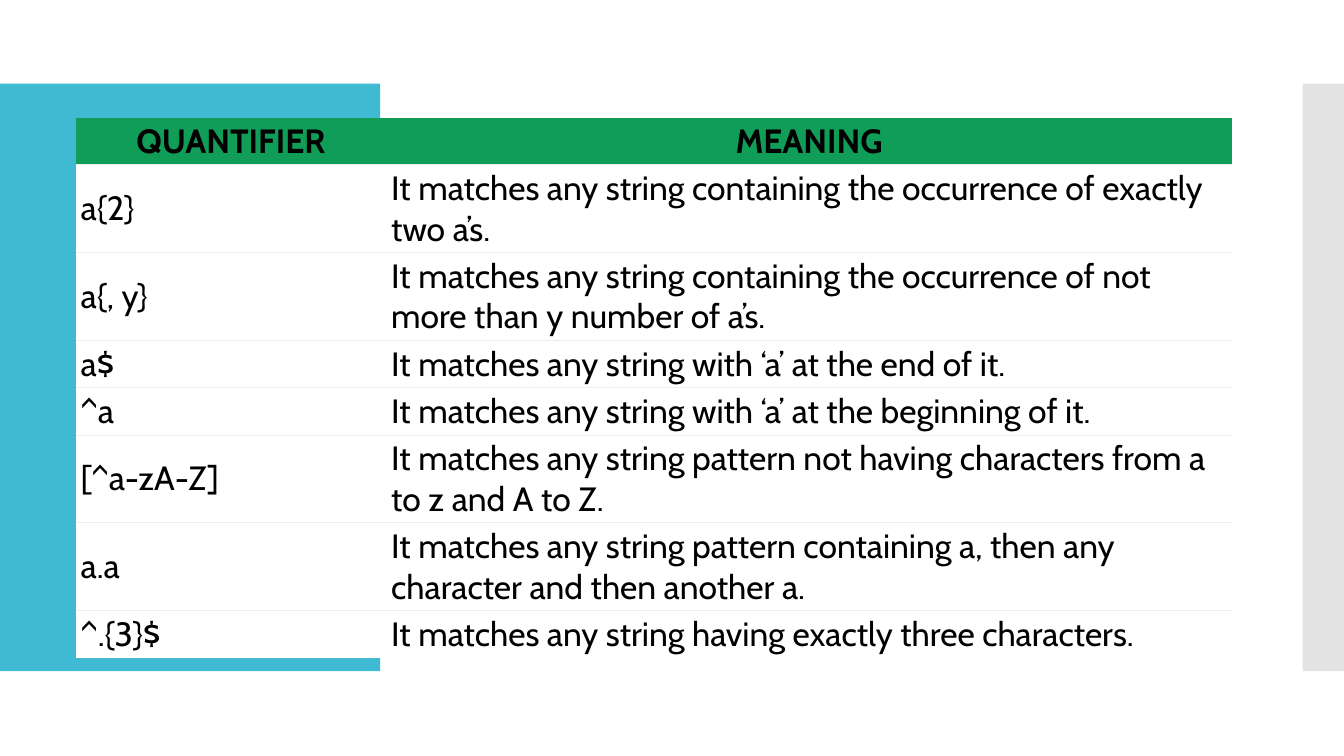
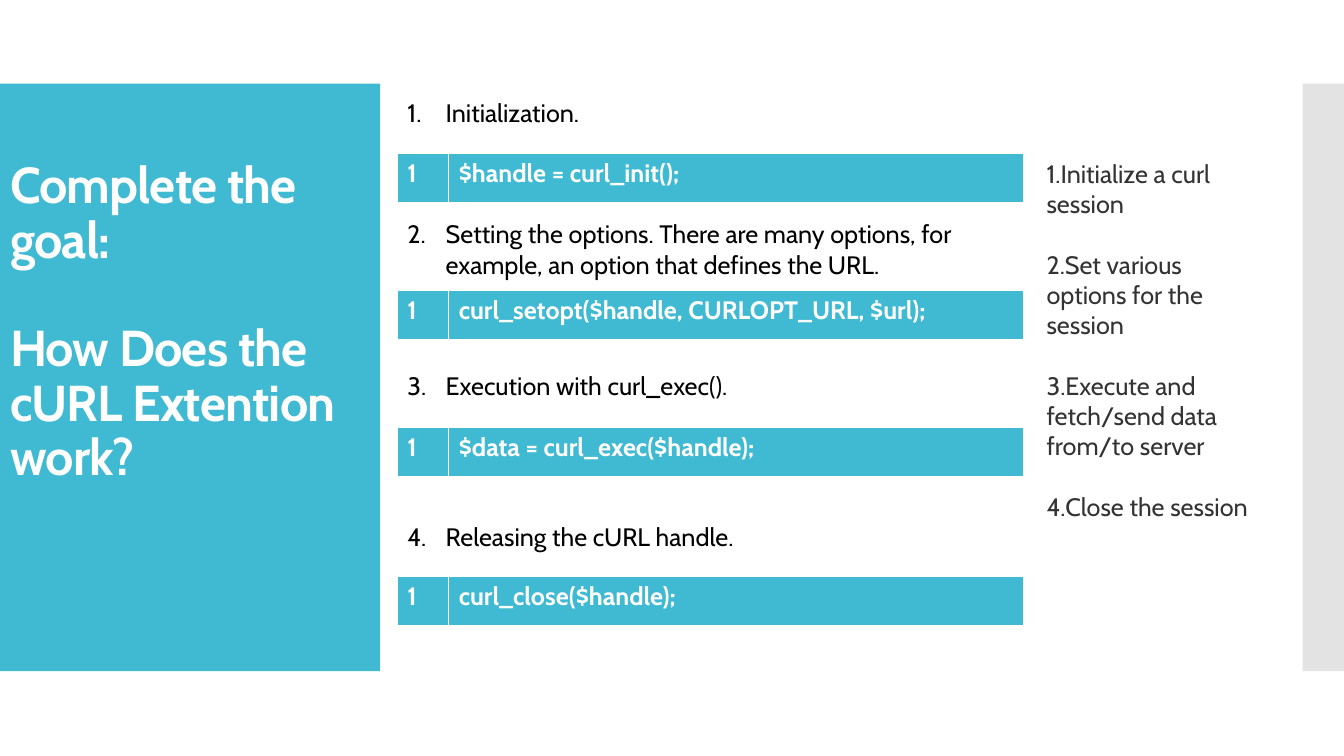
from dataclasses import dataclass

from lxml import etree
from pptx import Presentation
from pptx.dml.color import RGBColor
from pptx.enum.shapes import MSO_SHAPE
from pptx.enum.text import MSO_ANCHOR, MSO_AUTO_SIZE, PP_ALIGN
from pptx.oxml.ns import qn
from pptx.util import Emu, Pt

RECT = MSO_SHAPE.RECTANGLE
TOP, MIDDLE = MSO_ANCHOR.TOP, MSO_ANCHOR.MIDDLE
LEFT, CENTER = PP_ALIGN.LEFT, PP_ALIGN.CENTER
NO_FIT = MSO_AUTO_SIZE.NONE
EMU_PER_PX = 9144
TWO_CONTENT, BLANK = 3, 6


@dataclass(frozen=True)
class Theme:
    font: str = "Cabin"
    accent: str = "40BAD2"
    edge: str = "C8C8C8"
    header: str = "0F9D58"
    rule: str = "EDEDED"
    white: str = "FFFFFF"
    black: str = "000000"
    grey: str = "333333"
    title: int = 36
    table: int = 24
    body: int = 18
    title_line: float = 38.6
    body_line: float = 21.6


T = Theme()

QUANTIFIERS = [
    ("QUANTIFIER", "MEANING", 46),
    ("a{2}", "It matches any string containing the occurrence of exactly two a’s.", 86),
    ("a{, y}", "It matches any string containing the occurrence of not more than y number of a’s.", 86),
    ("a$", "It matches any string with ‘a’ at the end of it.", 47),
    ("^a", "It matches any string with ‘a’ at the beginning of it.", 47),
    ("[^a-zA-Z]", "It matches any string pattern not having characters from a to z and A to Z.", 86),
    ("a.a", "It matches any string pattern containing a, then any character and then another a.", 86),
    ("^.{3}$", "It matches any string having exactly three characters.", 47),
]

TITLE = [("Complete the goal:", 0), ("How Does the cURL Extention work?", 1)]

STEPS = [
    ("Initialization.", 0),
    ("Setting the options. There are many options, for example, an option that defines the URL.", 3),
    ("Execution with curl_exec().", 3),
    ("Releasing the cURL handle.", 4),
]

CODE = [
    ("$handle = curl_init();", 60),
    ("curl_setopt($handle, CURLOPT_URL, $url);", 196),
    ("$data = curl_exec($handle);", 332),
    ("curl_close($handle);", 480),
]

SUMMARY = [
    ("Initialize a curl session", 0),
    ("Set various options for the session", 1),
    ("Execute and fetch/send data from/to server", 1),
    ("Close the session", 1),
]


def px(n):
    return Emu(n * EMU_PER_PX)


def rgb(color):
    return RGBColor.from_string(color)


def write(p, text, size=T.body, color=T.black, bold=False, align=LEFT,
          before=0, line=1.0, tracking=None):
    p.alignment = align
    p.line_spacing = line
    p.space_before = Pt(before)
    p.space_after = Pt(0)
    r = p.add_run()
    r.text = text
    r.font.name = T.font
    r.font.size = Pt(size)
    r.font.bold = bold
    r.font.color.rgb = rgb(color)
    if tracking is not None:
        r.font._element.set("spc", str(tracking))


def set_bullet(p, indent, numbered):
    pPr = p._p.get_or_add_pPr()
    pPr.set("marL", str(px(indent)))
    pPr.set("indent", str(-px(indent)))
    if numbered:
        etree.SubElement(pPr, qn("a:buFont"), typeface="+mj-lt")
        etree.SubElement(pPr, qn("a:buAutoNum"), type="arabicPeriod")
    else:
        etree.SubElement(pPr, qn("a:buNone"))


def fill_placeholder(sp, box, items, line_height, anchor=TOP, indent=0,
                     numbered=True, bottom=5, **fmt):
    sp.left, sp.top, sp.width, sp.height = map(px, box)
    tf = sp.text_frame
    tf.word_wrap = True
    tf.auto_size = NO_FIT
    tf.vertical_anchor = anchor
    tf.margin_bottom = px(bottom)
    for i, (text, gap) in enumerate(items):
        p = tf.add_paragraph() if i else tf.paragraphs[0]
        write(p, text, before=gap * line_height, **fmt)
        set_bullet(p, indent, numbered)


def set_borders(cell, color, **widths):
    tcPr = cell._tc.get_or_add_tcPr()
    for side in "LRTB":
        width = widths.get(side, 0)
        ln = etree.SubElement(tcPr, qn(f"a:ln{side}"), w=str(Pt(width)))
        if width:
            solid = etree.SubElement(ln, qn("a:solidFill"))
            etree.SubElement(solid, qn("a:srgbClr"), val=color)
        else:
            etree.SubElement(ln, qn("a:noFill"))


def set_cell(cell, text, fill, rule, borders, **fmt):
    set_borders(cell, rule, **borders)
    cell.fill.solid()
    cell.fill.fore_color.rgb = rgb(fill)
    write(cell.text_frame.paragraphs[0], text, **fmt)


def new_table(s, left, top, widths, heights):
    tbl = s.shapes.add_table(len(heights), len(widths), px(left), px(top),
                             px(sum(widths)), px(sum(heights))).table
    tbl.first_row = tbl.horz_banding = False
    for col, width in zip(tbl.columns, widths):
        col.width = px(width)
    for row, height in zip(tbl.rows, heights):
        row.height = px(height)
    return tbl


def add_band(prs, s, box, color, alpha=None):
    sp = s.shapes.add_shape(RECT, *map(px, box))
    sp.shadow.inherit = False
    sp.fill.solid()
    sp.fill.fore_color.rgb = rgb(color)
    sp.line.fill.background()
    if alpha:
        clr = sp._element.spPr.find(f".//{qn('a:srgbClr')}")
        etree.SubElement(clr, qn("a:alpha"), val=str(alpha * 1000))
    prs.slide_master.shapes.element.append(sp._element)


def quantifier_table(s, box):
    left, top, width = box
    first = 308
    tbl = new_table(s, left, top, (first, width - first), [row[2] for row in QUANTIFIERS])
    last = len(QUANTIFIERS) - 1
    for i, row in enumerate(QUANTIFIERS):
        head = i == 0
        for j, text in enumerate(row[:2]):
            cell = tbl.cell(i, j)
            cell.vertical_anchor = MIDDLE
            cell.margin_left = cell.margin_right = px(3 if head else 5)
            cell.margin_top = cell.margin_bottom = px(3)
            borders = {"T": 0.75 if i else 0, "B": 0.75 if i < last else 0}
            set_cell(cell, text, T.header if head else T.white, T.rule, borders,
                     size=T.table, bold=head, align=CENTER if head else LEFT)


def code_bar(s, box, code):
    left, top, width, height = box
    number = 51
    tbl = new_table(s, left, top, (number, width - number), [height])
    borders = {"L": 1, "R": 1, "T": 1, "B": 3}
    for j, text in enumerate(("1", code)):
        set_cell(tbl.cell(0, j), text, T.accent, T.white, borders,
                 color=T.white, bold=True)


def step_region(s, sp, box):
    left, top, width, _ = box
    fill_placeholder(sp, box, STEPS, T.body_line, indent=38)
    for code, offset in CODE:
        code_bar(s, (left, top + offset, width, 50), code)


def quantifier_slide(prs):
    s = prs.slides.add_slide(prs.slide_layouts[BLANK])
    add_band(prs, s, (0, 83, 377, 583), T.accent)
    add_band(prs, s, (1292, 83, 42, 583), T.edge, alpha=50)
    quantifier_table(s, (75, 117, 1147))


def curl_slide(prs):
    s = prs.slides.add_slide(prs.slide_layouts[TWO_CONTENT])
    title, steps, summary = s.placeholders
    fill_placeholder(title, (0, 123, 381, 503), TITLE, T.title_line, anchor=MIDDLE,
                     numbered=False, bottom=112, size=T.title, color=T.white,
                     bold=True, line=0.9, tracking=-60)
    step_region(s, steps, (394, 92, 621, 616))
    fill_placeholder(summary, (1028, 152, 228, 374), SUMMARY, T.body_line, color=T.grey)


def main():
    prs = Presentation()
    prs.slide_width, prs.slide_height = px(1333), px(750)
    quantifier_slide(prs)
    curl_slide(prs)
    prs.save("out.pptx")


if __name__ == "__main__":
    main()
